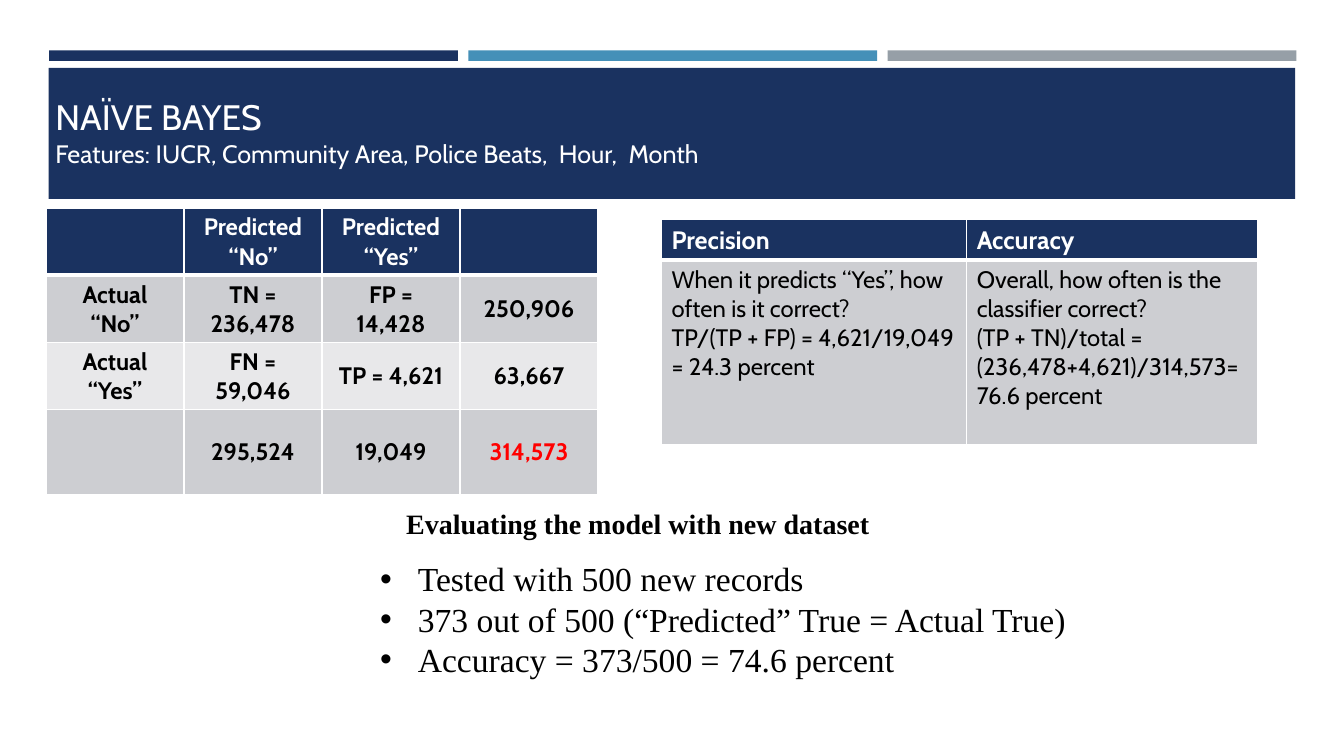
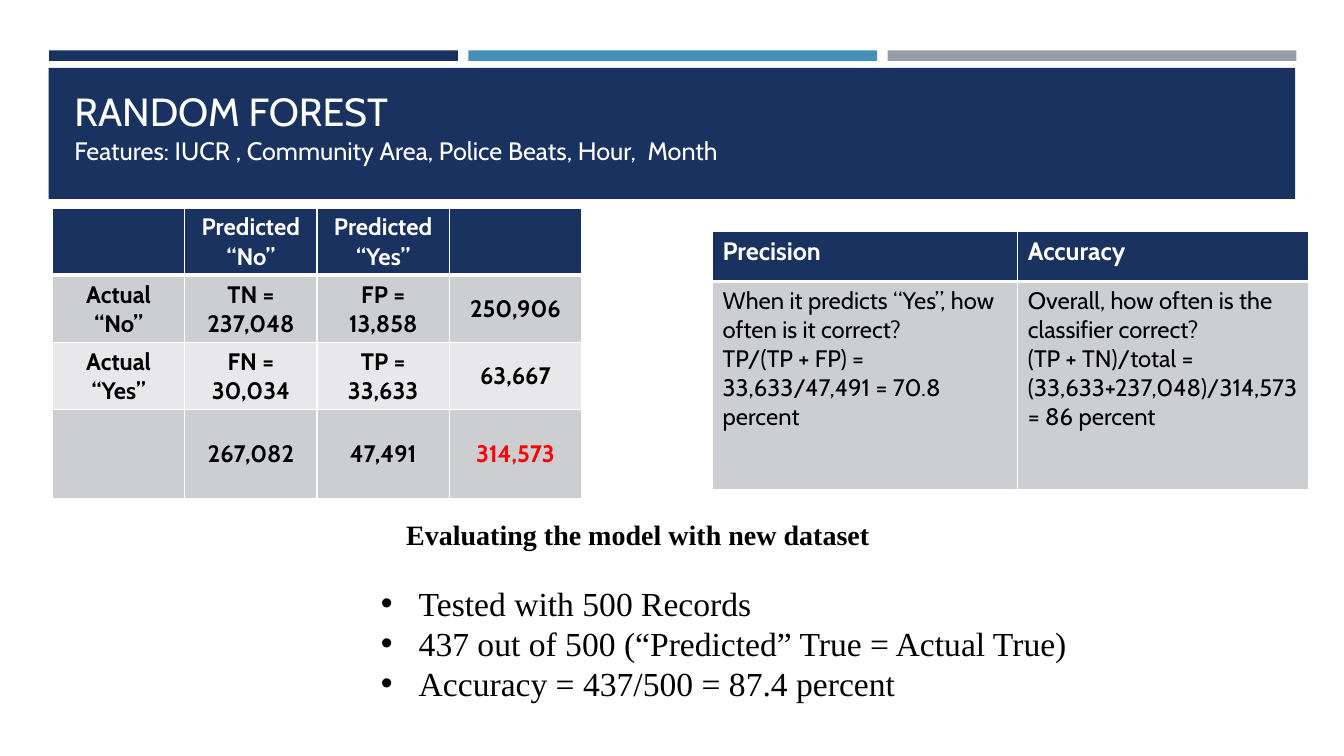
from dataclasses import dataclass

from lxml import etree
from pptx import Presentation
from pptx.dml.color import RGBColor
from pptx.enum.shapes import MSO_SHAPE
from pptx.enum.text import MSO_ANCHOR, MSO_AUTO_SIZE, PP_ALIGN
from pptx.oxml.ns import qn
from pptx.util import Pt

RECTANGLE = MSO_SHAPE.RECTANGLE
TOP, MIDDLE, BOTTOM = MSO_ANCHOR.TOP, MSO_ANCHOR.MIDDLE, MSO_ANCHOR.BOTTOM
LEFT, CENTER = PP_ALIGN.LEFT, PP_ALIGN.CENTER
NO_AUTOFIT = MSO_AUTO_SIZE.NONE
TITLE_ONLY = 5


@dataclass(frozen=True)
class Theme:
    navy: str = "1A3260"
    blue: str = "4590B8"
    gray: str = "969FA7"
    dark_row: str = "CDCED2"
    light_row: str = "E8E8EA"
    white: str = "FFFFFF"
    black: str = "000000"
    red: str = "FF0000"
    sans: str = "Cabin"
    serif: str = "Times New Roman"
    features_size: float = 18
    measure_size: float = 18
    cell_size: float = 17
    heading_size: float = 20
    bullet_size: float = 24
    thin_rule: float = 1
    header_rule: float = 3


THEME = Theme()

MODELS = [
    {
        "title": "NAÏVE BAYES",
        "title_box": (32.4, 58, 210, 44),
        "title_size": 25.2,
        "features": "Features: IUCR, Community Area, Police Beats,  Hour,  Month",
        "features_box": (32.4, 95, 857, 29),
        "matrix": [
            ["", "Predicted “No”", "Predicted “Yes”", ""],
            ["Actual “No”", "TN = 236,478", "FP = 14,428", "250,906"],
            ["Actual “Yes”", "FN = 59,046", "TP = 4,621", "63,667"],
            ["", "295,524", "19,049", "314,573"],
        ],
        "matrix_at": (32.8, 148.5),
        "matrix_column": 98.6,
        "totals_height": 61,
        "precision": "TP/(TP + FP) = 4,621/19,049 = 24.3 percent",
        "accuracy": "(TP + TN)/total = (236,478+4,621)/314,573= 76.6 percent",
        "measures_at": (472.5, 157),
        "measures_rows": (28, 132),
        "heading_top": 358,
        "bullets_box": (264.4, 395.3, 509, 94),
        "bullets": [
            "Tested with 500 new records",
            "373 out of 500 (“Predicted” True = Actual True)",
            "Accuracy = 373/500 = 74.6 percent",
        ],
    },
    {
        "title": "RANDOM FOREST",
        "title_box": (46, 49, 266, 51),
        "title_size": 28,
        "features": "Features: IUCR , Community Area, Police Beats, Hour,  Month",
        "features_box": (46, 93, 857, 29),
        "matrix": [
            ["", "Predicted “No”", "Predicted “Yes”", ""],
            ["Actual “No”", "TN = 237,048", "FP = 13,858", "250,906"],
            ["Actual “Yes”", "FN = 30,034", "TP = 33,633", "63,667"],
            ["", "267,082", "47,491", "314,573"],
        ],
        "matrix_at": (37.5, 148.5),
        "matrix_column": 94.5,
        "totals_height": 63.5,
        "precision": "TP/(TP + FP) = 33,633/47,491 = 70.8 percent",
        "accuracy": "(TP + TN)/total = (33,633+237,048)/314,573= 86 percent",
        "measures_at": (509, 165),
        "measures_rows": (36, 149),
        "heading_top": 366,
        "bullets_box": (265, 412.6, 513, 94),
        "bullets": [
            "Tested with 500 Records",
            "437 out of 500 (“Predicted” True = Actual True)",
            "Accuracy = 437/500 = 87.4 percent",
        ],
    },
]


def points(values):
    return [Pt(value) for value in values]


def write(frame, lines, font, size, color, bold=False, align=LEFT):
    """Fill a text frame with one evenly styled paragraph per line."""
    frame.word_wrap = True
    frame.text = "\n".join(lines)
    for paragraph in frame.paragraphs:
        paragraph.alignment = align
        paragraph.font.name = font
        paragraph.font.size = Pt(size)
        paragraph.font.bold = bold
        paragraph.font.color.rgb = RGBColor.from_string(color)


def add_text(slide, box, lines, font, size, color, bold=False):
    frame = slide.shapes.add_textbox(*points(box)).text_frame
    write(frame, lines, font, size, color, bold)
    return frame


def add_bullets(slide, box, lines):
    frame = add_text(slide, box, lines, THEME.serif, THEME.bullet_size, THEME.black)
    for paragraph in frame.paragraphs:
        properties = paragraph._p.get_or_add_pPr()
        properties.set("marL", str(Pt(27)))
        properties.set("indent", str(-Pt(27)))
        bullet_font = etree.Element(qn("a:buFont"), typeface="Arial")
        bullet = etree.Element(qn("a:buChar"), char="•")
        # Bullet settings must come before the default run properties.
        properties.insert(0, bullet_font)
        bullet_font.addnext(bullet)


def set_title(slide, model):
    title = slide.shapes.title
    title.left, title.top, title.width, title.height = points(model["title_box"])
    frame = title.text_frame
    write(frame, [model["title"]], THEME.sans, model["title_size"], THEME.white)
    frame.auto_size = NO_AUTOFIT
    frame.vertical_anchor = BOTTOM
    frame.paragraphs[0].line_spacing = 0.9


def add_band_to_layout(slide, box, color, shape_id):
    """Draw a band and hand it to the layout, so all slides share it."""
    band = slide.shapes.add_shape(RECTANGLE, *points(box))
    band.shadow.inherit = False
    band.fill.solid()
    band.fill.fore_color.rgb = RGBColor.from_string(color)
    band.line.fill.background()
    band.element.nvSpPr.cNvPr.set("id", str(shape_id))
    slide.slide_layout.shapes.element.append(band.element)


def add_layout_bands(slide):
    left, bar_width, gap = 35, 292, 7.5
    for index, color in enumerate((THEME.navy, THEME.blue, THEME.gray)):
        box = (left + index * (bar_width + gap), 36, bar_width, 7.5)
        add_band_to_layout(slide, box, color, 101 + index)
    add_band_to_layout(slide, (34.8, 48.5, 890.4, 93.6), THEME.navy, 104)


def style_cell(cell, fill, row):
    """Give a cell its white rules, heavier under the header, and its fill."""
    properties = cell._tc.get_or_add_tcPr()
    for side in ("L", "R", "T", "B"):
        under_header = (row, side) in ((0, "B"), (1, "T"))
        width = THEME.header_rule if under_header else THEME.thin_rule
        rule = etree.SubElement(properties, qn(f"a:ln{side}"), w=str(Pt(width)))
        solid = etree.SubElement(rule, qn("a:solidFill"))
        etree.SubElement(solid, qn("a:srgbClr"), val=THEME.white)
    cell.fill.solid()
    cell.fill.fore_color.rgb = RGBColor.from_string(fill)


def add_grid(slide, at, column_widths, row_heights):
    """Add an empty table with a navy header and alternating rows."""
    size = (sum(column_widths), sum(row_heights))
    table = slide.shapes.add_table(
        len(row_heights), len(column_widths), *points(at + size)).table
    for column, width in zip(table.columns, column_widths):
        column.width = Pt(width)
    for row, height in enumerate(row_heights):
        table.rows[row].height = Pt(height)
        band = THEME.dark_row if row % 2 else THEME.light_row
        for cell in table.rows[row].cells:
            style_cell(cell, band if row else THEME.navy, row)
    return table


def add_confusion_matrix(slide, model):
    widths = [model["matrix_column"]] * 4
    heights = [48, 48, 48, model["totals_height"]]
    table = add_grid(slide, model["matrix_at"], widths, heights)
    for row, texts in enumerate(model["matrix"]):
        for column, text in enumerate(texts):
            color = THEME.black if row else THEME.white
            if (row, column) == (3, 3):
                color = THEME.red
            cell = table.cell(row, column)
            cell.vertical_anchor = MIDDLE
            write(cell.text_frame, [text], THEME.sans, THEME.cell_size, color,
                  bold=True, align=CENTER)


def add_measures(slide, model):
    table = add_grid(slide, model["measures_at"], (218, 208), model["measures_rows"])
    measures = [
        ("Precision", "When it predicts “Yes”, how often is it correct?",
         model["precision"]),
        ("Accuracy", "Overall, how often is the classifier correct?",
         model["accuracy"]),
    ]
    for column, (name, question, formula) in enumerate(measures):
        header, body = table.cell(0, column), table.cell(1, column)
        header.vertical_anchor = body.vertical_anchor = TOP
        write(header.text_frame, [name], THEME.sans, THEME.measure_size,
              THEME.white, bold=True)
        write(body.text_frame, [question, formula], THEME.sans, THEME.cell_size,
              THEME.black)


def build_model_slide(slide, model):
    # Title band
    set_title(slide, model)
    add_text(slide, model["features_box"], [model["features"]], THEME.sans,
             THEME.features_size, THEME.white)
    # Results on the test data
    add_confusion_matrix(slide, model)
    add_measures(slide, model)
    # Results on new records
    add_text(slide, (283, model["heading_top"], 394.5, 31.5),
             ["Evaluating the model with new dataset"], THEME.serif,
             THEME.heading_size, THEME.black, bold=True)
    add_bullets(slide, model["bullets_box"], model["bullets"])


def main():
    deck = Presentation()
    deck.slide_width, deck.slide_height = Pt(960), Pt(540)
    layout = deck.slide_layouts[TITLE_ONLY]
    slides = [deck.slides.add_slide(layout) for _ in MODELS]
    add_layout_bands(slides[0])
    for slide, model in zip(slides, MODELS):
        build_model_slide(slide, model)
    deck.save("out.pptx")


if __name__ == "__main__":
    main()
